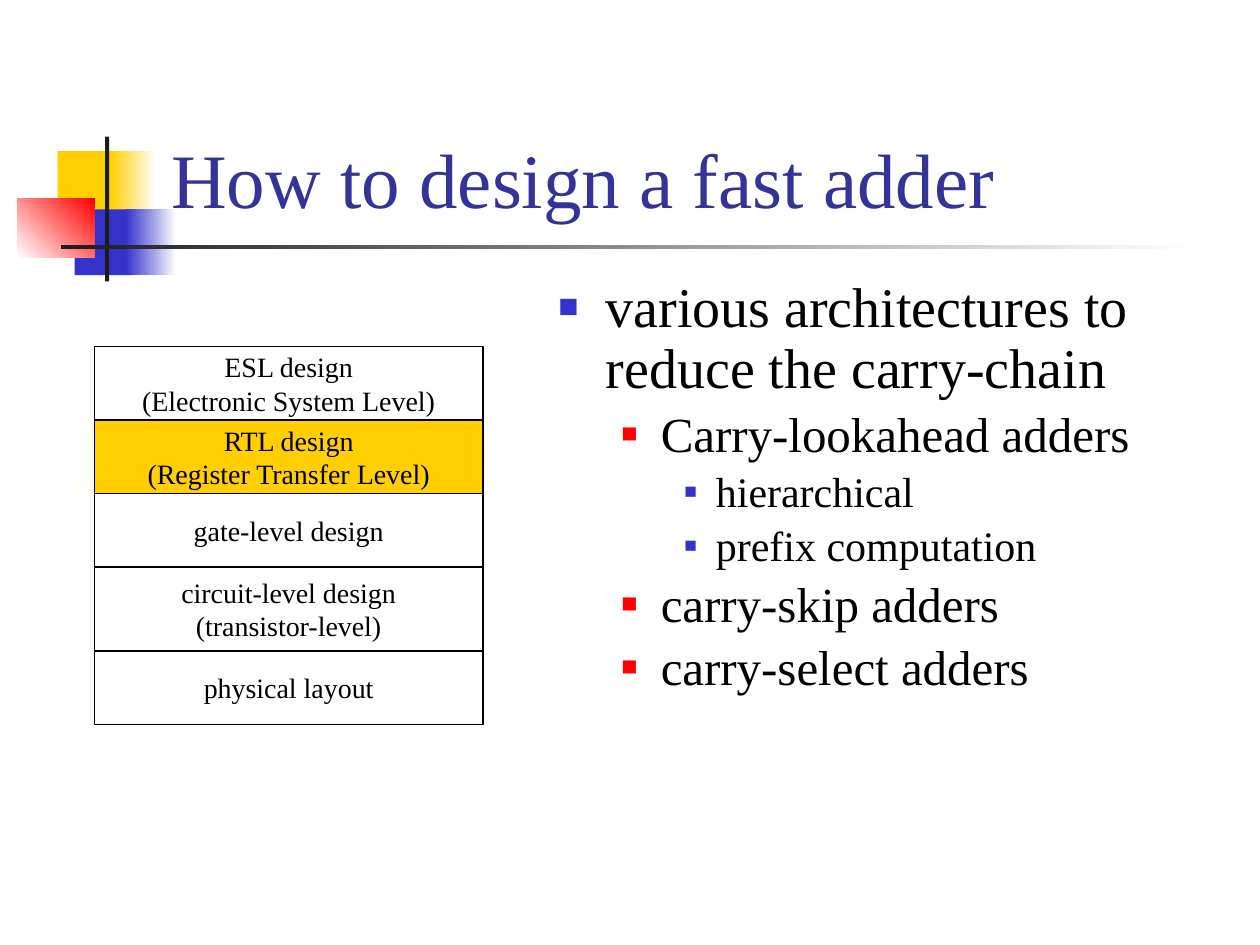
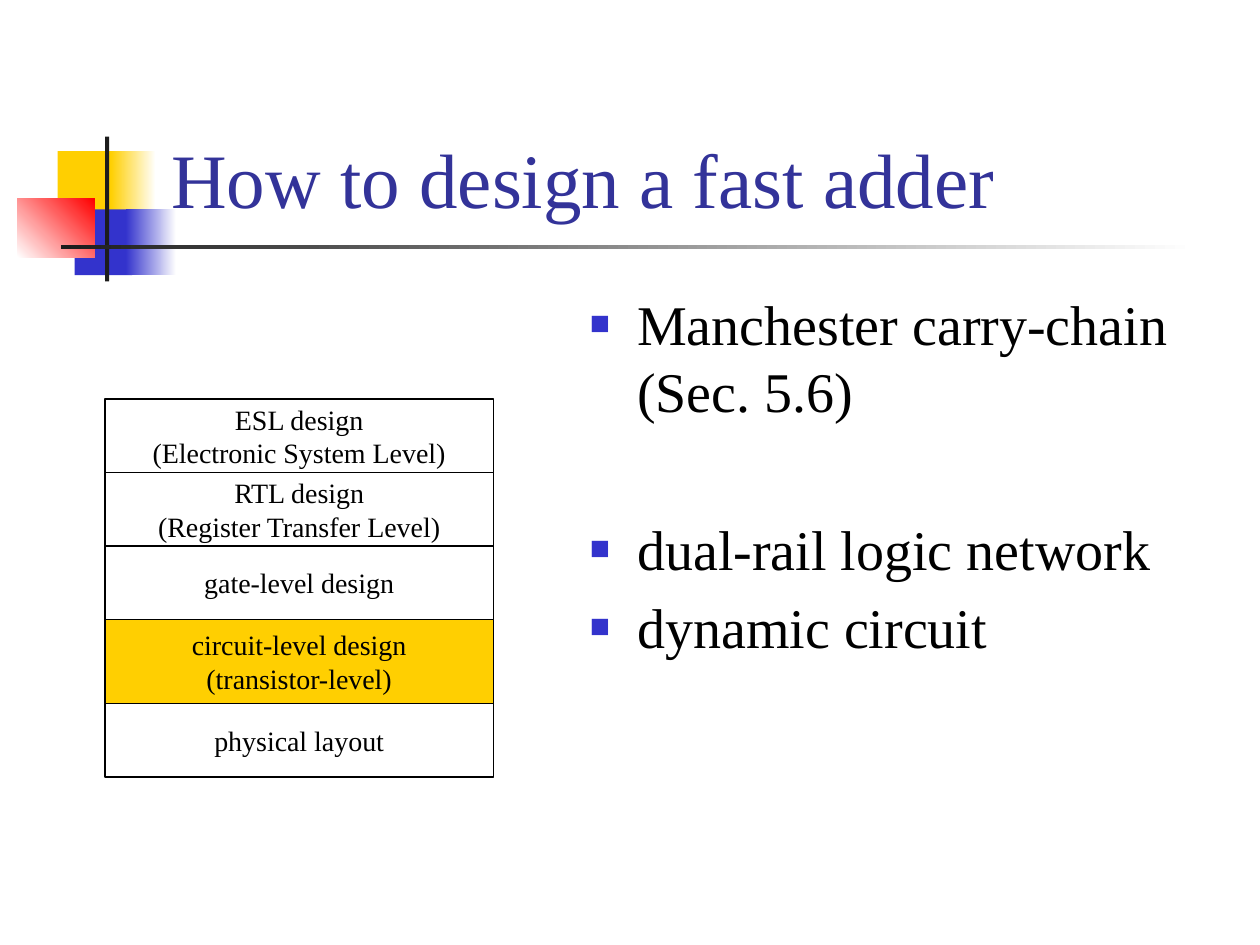
from dataclasses import dataclass

import lxml.etree
import pptx
import pptx.dml.color
import pptx.enum.shapes
import pptx.enum.text
import pptx.oxml.ns
import pptx.util

COLUMNS, ROWS = 120, 90
SLIDE_WIDTH = pptx.util.Inches(10)
SLIDE_HEIGHT = pptx.util.Inches(7.5)
TITLE_ONLY = 5


@dataclass(frozen=True)
class Theme:
    font: str = "Times New Roman"
    title: str = "333399"
    text: str = "000000"
    white: str = "FFFFFF"
    yellow: str = "FFCF01"
    blue: str = "3333CC"
    red: str = "FF0000"
    rule: str = "1C1C1C"
    title_size: int = 44
    level_size: int = 16
    outline: float = 0.75


@dataclass(frozen=True)
class Area:
    """A rectangle in grid columns and rows."""
    column: float
    row: float
    columns: float
    rows: float

    def place(self) -> tuple[int, int, int, int]:
        return (across(self.column), down(self.row),
                across(self.columns), down(self.rows))


@dataclass(frozen=True)
class Block:
    """A part of the title ornament; two colours make a gradient."""
    area: Area
    colors: tuple[str, ...]
    angle: int = 0


@dataclass(frozen=True)
class BulletStyle:
    indent: float
    hanging: float
    color: str
    percent: int
    size: int


@dataclass(frozen=True)
class Bullet:
    text: str
    level: int = 0
    extra_space: float = 0


@dataclass(frozen=True)
class DesignLevel:
    lines: tuple[str, ...]
    rows: int = 7


@dataclass(frozen=True)
class AdderSlide:
    highlighted: str
    ladder_column: float
    ladder_row: float
    body: Area
    line_spacing: float
    bullets: tuple[Bullet, ...]


THEME = Theme()
TITLE = "How to design a fast adder"
TITLE_AREA = Area(15.12, 2.76, 102.24, 19.2)
LADDER_COLUMNS = 37

ORNAMENT = (
    Block(Area(5.5, 14.4, 5.8, 6.25), (THEME.yellow,)),
    Block(Area(10.55, 14.4, 4.3, 6.25), (THEME.yellow, THEME.white)),
    Block(Area(7.1, 19.95, 5.5, 6.25), (THEME.blue,)),
    Block(Area(12, 19.95, 4.8, 6.25), (THEME.blue, THEME.white)),
    Block(Area(1.65, 18.95, 7.4, 5.55), (THEME.white, THEME.red), 45),
    Block(Area(10, 13, 0.4, 13.8), (THEME.rule,)),
    Block(Area(5.8, 23.35, 108, 0.4), (THEME.rule, THEME.white)),
)

BULLET_STYLES = (
    BulletStyle(4.5, 4.5, THEME.blue, 60, 32),
    BulletStyle(9.75, 3.75, THEME.red, 55, 28),
    BulletStyle(15, 3, THEME.blue, 50, 24),
)

DESIGN_LEVELS = (
    DesignLevel(("ESL design", "(Electronic System Level)")),
    DesignLevel(("RTL design", "(Register Transfer Level)")),
    DesignLevel(("gate-level design",)),
    DesignLevel(("circuit-level design", "(transistor-level)"), 8),
    DesignLevel(("physical layout",)),
)

SLIDES = (
    AdderSlide("RTL design", 9, 33, Area(52, 26, 65.5, 56), 0.9, (
        Bullet("various architectures to reduce the carry-chain"),
        Bullet("Carry-lookahead adders", 1),
        Bullet("hierarchical", 2),
        Bullet("prefix computation", 2),
        Bullet("carry-skip adders", 1),
        Bullet("carry-select adders", 1),
    )),
    AdderSlide("circuit-level design", 10, 38, Area(55, 27, 62, 54), 1.0, (
        Bullet("Manchester carry-chain (Sec. 5.6)"),
        Bullet("dual-rail logic network", extra_space=45),
        Bullet("dynamic circuit"),
    )),
)


def across(columns: float) -> int:
    return round(SLIDE_WIDTH * columns / COLUMNS)


def down(rows: float) -> int:
    return round(SLIDE_HEIGHT * rows / ROWS)


def rgb(color: str) -> pptx.dml.color.RGBColor:
    return pptx.dml.color.RGBColor.from_string(color)


def add_run(paragraph, text: str, size: float, color: str) -> None:
    run = paragraph.add_run()
    run.text = text
    run.font.name = THEME.font
    run.font.size = pptx.util.Pt(size)
    run.font.color.rgb = rgb(color)


def add_rectangle(shapes, area: Area):
    shape = shapes.add_shape(
        pptx.enum.shapes.MSO_SHAPE.RECTANGLE, *area.place())
    shape.shadow.inherit = False
    return shape


def add_ornament(slide) -> None:
    for block in ORNAMENT:
        shape = add_rectangle(slide.shapes, block.area)
        shape.line.fill.background()
        if len(block.colors) == 1:
            shape.fill.solid()
            shape.fill.fore_color.rgb = rgb(block.colors[0])
            continue
        shape.fill.gradient()
        shape.fill.gradient_angle = block.angle
        for stop, color in zip(shape.fill.gradient_stops, block.colors):
            stop.color.rgb = rgb(color)


def set_title(slide) -> None:
    title = slide.shapes.title
    title.left, title.top, title.width, title.height = TITLE_AREA.place()
    title.element.getparent().append(title.element)  # in front of the ornament
    frame = title.text_frame
    frame.auto_size = pptx.enum.text.MSO_AUTO_SIZE.NONE
    frame.vertical_anchor = pptx.enum.text.MSO_ANCHOR.BOTTOM
    paragraph = frame.paragraphs[0]
    paragraph.alignment = pptx.enum.text.PP_ALIGN.LEFT
    add_run(paragraph, TITLE, THEME.title_size, THEME.title)


def set_bullet(paragraph, style: BulletStyle) -> None:
    properties = paragraph._p.get_or_add_pPr()
    properties.set("marL", str(across(style.indent)))
    properties.set("indent", str(-across(style.hanging)))

    def add(parent, tag: str, **attributes: str):
        return lxml.etree.SubElement(
            parent, pptx.oxml.ns.qn(tag), attributes)

    add(add(properties, "a:buClr"), "a:srgbClr", val=style.color)
    add(properties, "a:buSzPct", val=str(style.percent * 1000))
    add(properties, "a:buFont", typeface=THEME.font)
    add(properties, "a:buChar", char="■")


def add_bullets(slide, content: AdderSlide) -> None:
    frame = slide.shapes.add_textbox(*content.body.place()).text_frame
    frame.word_wrap = True
    for index, bullet in enumerate(content.bullets):
        style = BULLET_STYLES[bullet.level]
        paragraph = frame.add_paragraph() if index else frame.paragraphs[0]
        paragraph.level = bullet.level
        set_bullet(paragraph, style)
        paragraph.line_spacing = content.line_spacing
        if index:
            paragraph.space_before = pptx.util.Pt(
                0.2 * style.size + bullet.extra_space)
        add_run(paragraph, bullet.text, style.size, THEME.text)


def add_design_ladder(slide, content: AdderSlide) -> None:
    """Stack the design levels and fill the highlighted one."""
    group = slide.shapes.add_group_shape()
    row = content.ladder_row
    for level in DESIGN_LEVELS:
        shape = add_rectangle(group.shapes, Area(
            content.ladder_column, row, LADDER_COLUMNS, level.rows))
        row += level.rows
        shape.line.color.rgb = rgb(THEME.text)
        shape.line.width = pptx.util.Pt(THEME.outline)
        if level.lines[0] == content.highlighted:
            shape.fill.solid()
            shape.fill.fore_color.rgb = rgb(THEME.yellow)
        else:
            shape.fill.background()
        frame = shape.text_frame
        frame.word_wrap = False
        frame.vertical_anchor = pptx.enum.text.MSO_ANCHOR.MIDDLE
        for index, line in enumerate(level.lines):
            paragraph = frame.add_paragraph() if index else frame.paragraphs[0]
            paragraph.alignment = pptx.enum.text.PP_ALIGN.CENTER
            add_run(paragraph, line, THEME.level_size, THEME.text)


def main() -> None:
    presentation = pptx.Presentation()
    presentation.slide_width = SLIDE_WIDTH
    presentation.slide_height = SLIDE_HEIGHT
    for content in SLIDES:
        slide = presentation.slides.add_slide(
            presentation.slide_layouts[TITLE_ONLY])
        add_ornament(slide)
        set_title(slide)
        add_bullets(slide, content)
        add_design_ladder(slide, content)
    presentation.save("out.pptx")


if __name__ == "__main__":
    main()
